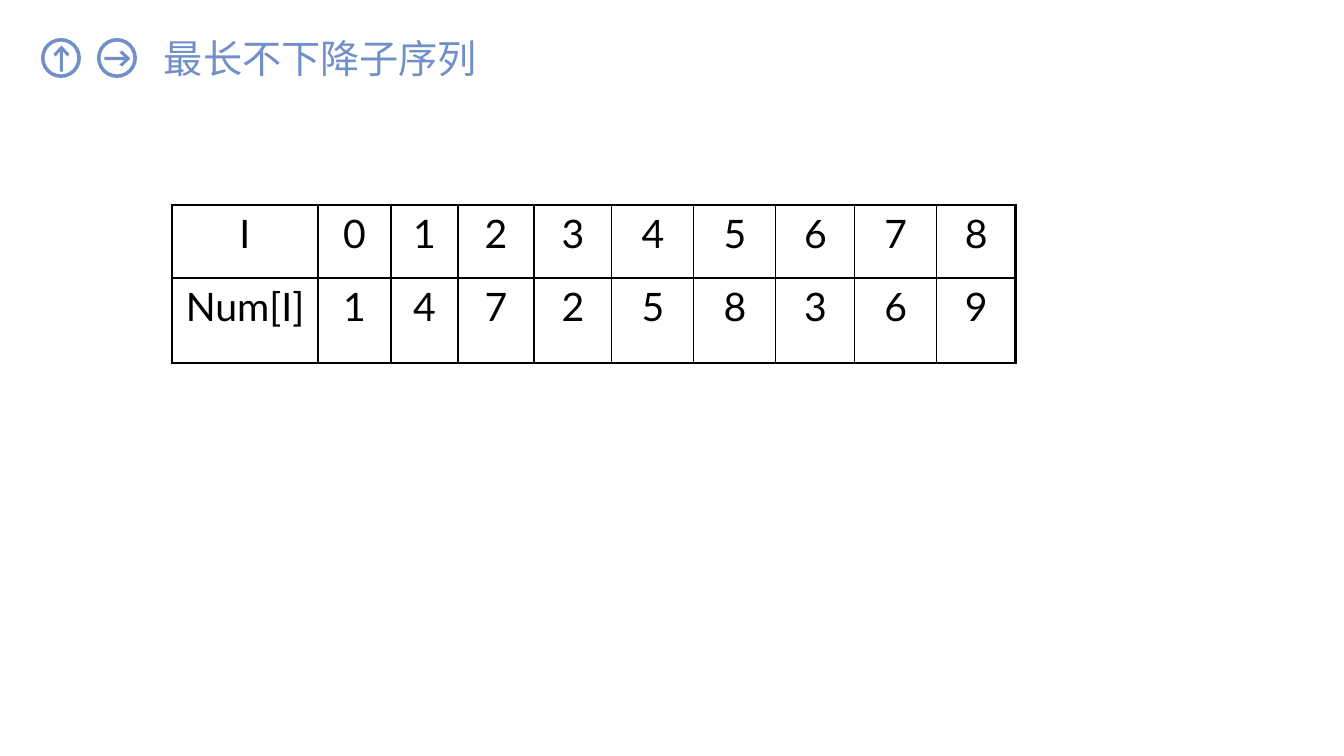
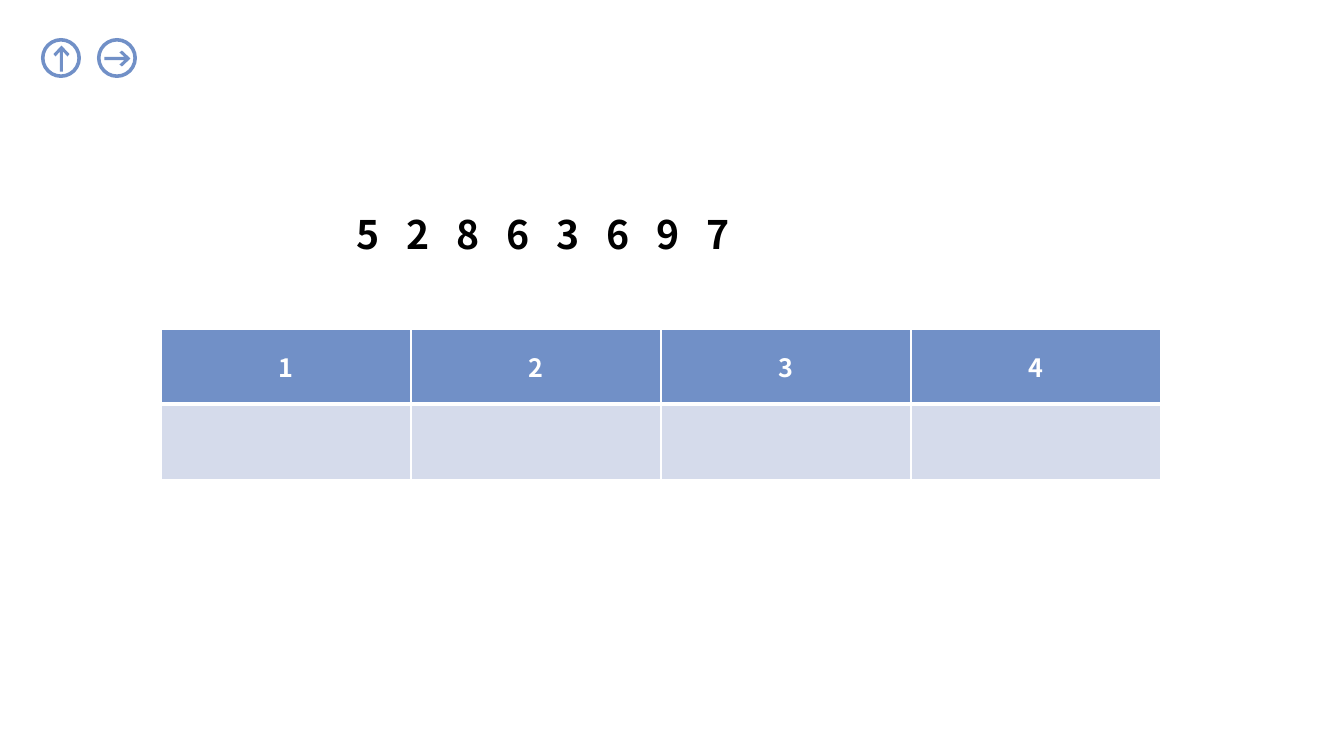
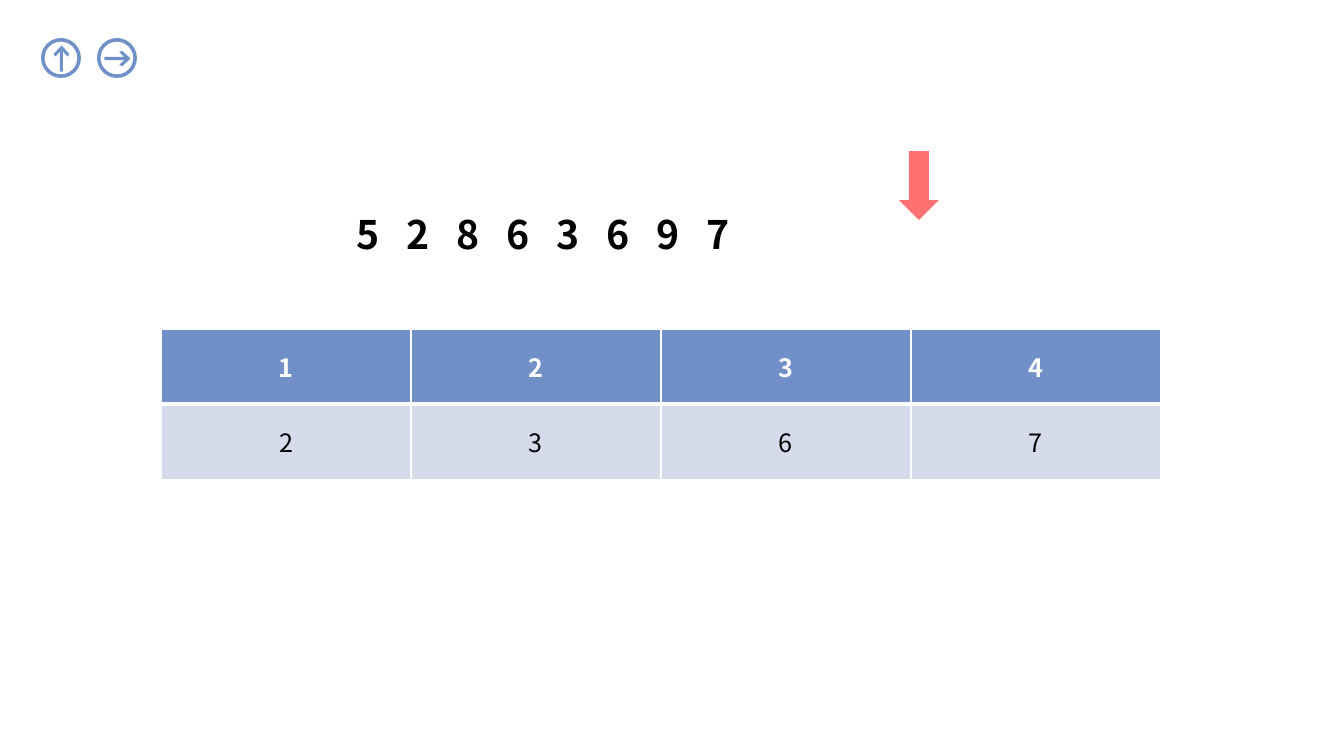
"""Build three slides on the longest non-decreasing subsequence."""
from lxml.etree import SubElement
from pptx import Presentation
from pptx.dml.color import RGBColor
from pptx.enum.shapes import MSO_SHAPE
from pptx.enum.text import MSO_ANCHOR, PP_ALIGN
from pptx.oxml.ns import qn
from pptx.util import Pt

PX = 914400 / 100.8
BLUE, PALE, RED = "7190C7", "D5DBEB", "FF7072"
BLACK, WHITE = "000000", "FFFFFF"
SANS, LATIN = "Noto Sans CJK SC", "Lato"
UP_ARROW = [(0, -26), (16, -9), (12, -4), (3, -14), (3, 26),
            (-3, 26), (-3, -14), (-12, -4), (-16, -9)]
RIGHT_ARROW = [(-y, x) for x, y in UP_ARROW]
SEQUENCE = "52863697"
color = RGBColor.from_string


def write(para, text, size, font, hue, bold=False):
    """Add one styled run to a paragraph."""
    span = para.add_run()
    span.text = text
    span.font.size = Pt(size)
    span.font.name = font
    span.font.bold = bold
    span.font.color.rgb = color(hue)
    SubElement(span.font._element, qn("a:ea"), typeface=font)


def add_grid(page, left, top, widths, heights, edge, line_width):
    """Add a table with ruled cells and return it."""
    last_row, last_col = len(heights) - 1, len(widths) - 1
    frame = page.shapes.add_table(
        len(heights), len(widths), round(left * PX), round(top * PX),
        round(sum(widths) * PX), round(sum(heights) * PX))
    table = frame.table
    table.first_row = table.horz_banding = False
    for column, width in zip(table.columns, widths):
        column.width = round(width * PX)
    for i, row in enumerate(table.rows):
        row.height = round(heights[i] * PX)
        for j, cell in enumerate(row.cells):
            properties = cell._tc.get_or_add_tcPr()
            outer = {"L": j == 0, "R": j == last_col, "T": i == 0, "B": i == last_row}
            for side, is_outer in outer.items():
                points = line_width(side, is_outer)
                line = SubElement(properties, qn("a:ln" + side), w=str(Pt(points)))
                fill = SubElement(line, qn("a:solidFill"))
                SubElement(fill, qn("a:srgbClr"), val=edge)
            cell.text_frame.paragraphs[0].alignment = PP_ALIGN.CENTER
    return table


deck = Presentation()
deck.slide_width, deck.slide_height = round(1344 * PX), round(756 * PX)
pages = [deck.slides.add_slide(deck.slide_layouts[6]) for _ in range(3)]

for page in pages:
    for left, arrow in ((41, UP_ARROW), (97, RIGHT_ARROW)):
        ring = page.shapes.add_shape(
            MSO_SHAPE.DONUT, round(left * PX), round(38 * PX), round(40 * PX), round(40 * PX))
        ring.adjustments[0] = 0.09
        outline = [(2 * left + 41 + x, 117 + y) for x, y in arrow]
        builder = page.shapes.build_freeform(*outline[0], scale=PX / 2)
        builder.add_line_segments(outline[1:], close=True)
        for shape in (ring, builder.convert_to_shape()):
            shape.shadow.inherit = False
            shape.fill.solid()
            shape.fill.fore_color.rgb = color(BLUE)
            shape.line.fill.background()

title = pages[0].shapes.add_textbox(
    round(154 * PX), round(29 * PX), round(652 * PX), round(57 * PX))
title.text_frame.word_wrap = True
title.text_frame.vertical_anchor = MSO_ANCHOR.MIDDLE
write(title.text_frame.paragraphs[0], "最长不下降子序列", 28, SANS, BLUE)

numbers = add_grid(
    pages[0], 172, 205, [146, 73, 67, 76, 78, 82, 82, 79, 82, 79], [73, 85], BLACK,
    lambda side, is_outer: 2.25 if is_outer else 1)
for row, texts in zip(numbers.rows, (["I", *"012345678"], ["Num[I]", *"147258369"])):
    for cell, text in zip(row.cells, texts):
        cell.fill.background()
        write(cell.text_frame.paragraphs[0], text, 28, LATIN, BLACK)

for page, tails in zip(pages[1:], ("", "2367")):
    box = page.shapes.add_textbox(
        round(347 * PX), round(205 * PX), round(726 * PX), round(57 * PX))
    box.text_frame.word_wrap = True
    para = box.text_frame.paragraphs[0]
    stops = SubElement(para._p.get_or_add_pPr(), qn("a:tabLst"))
    for step in range(1, len(SEQUENCE)):
        SubElement(stops, qn("a:tab"), pos=str(round(step * 50 * PX)), algn="l")
    write(para, "\t".join(SEQUENCE), 28, SANS, BLACK, True)

    lengths = add_grid(
        page, 161, 329, [250] * 4, [75, 76], WHITE,
        lambda side, is_outer: 3 if side in "TB" and not is_outer else 1)
    for row, texts, fill, ink in zip(lengths.rows, ("1234", tails), (BLUE, PALE), (WHITE, BLACK)):
        for cell in row.cells:
            cell.fill.solid()
            cell.fill.fore_color.rgb = color(fill)
            cell.vertical_anchor = MSO_ANCHOR.MIDDLE
        for cell, text in zip(row.cells, texts):
            write(cell.text_frame.paragraphs[0], text, 18, SANS, ink, ink == WHITE)

pointer = pages[2].shapes.add_shape(
    MSO_SHAPE.DOWN_ARROW, round(899 * PX), round(151 * PX), round(40 * PX), round(69 * PX))
pointer.shadow.inherit = False
pointer.fill.solid()
pointer.fill.fore_color.rgb = color(RED)
pointer.line.fill.background()

deck.save("out.pptx")
